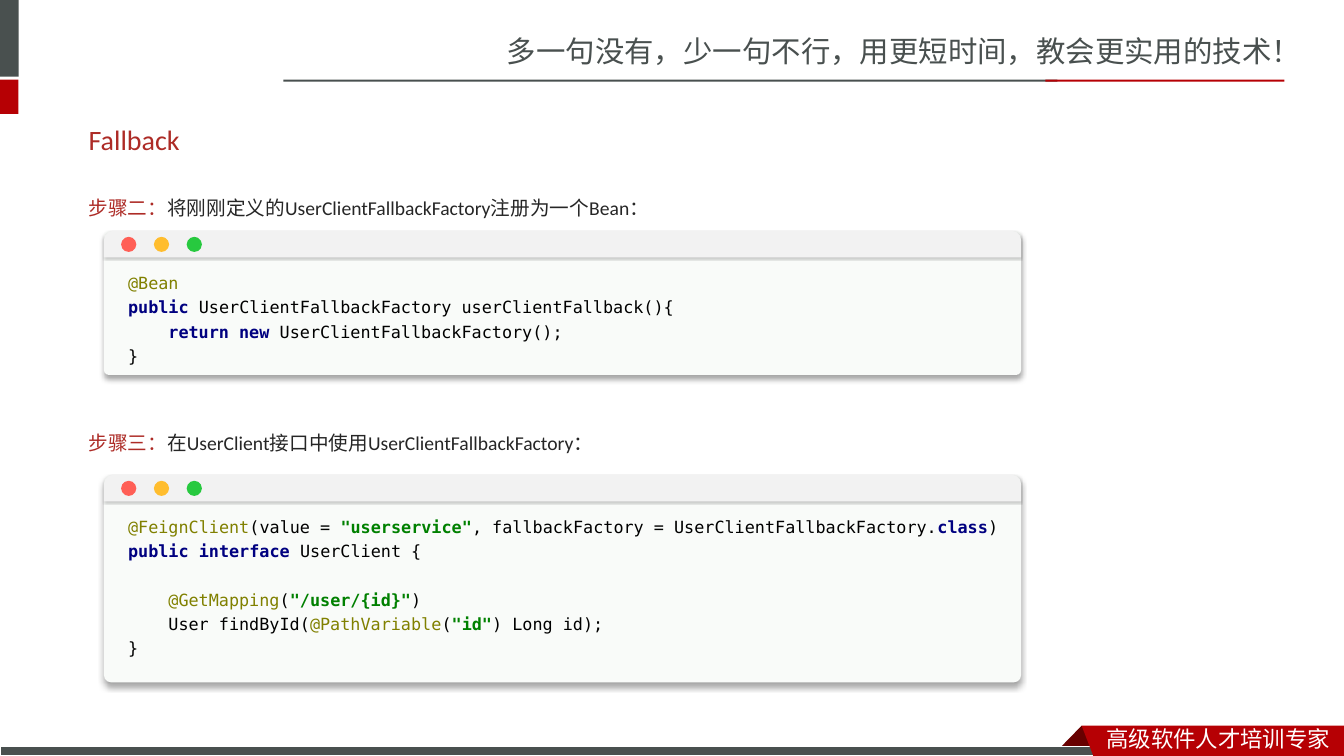
from dataclasses import dataclass

from lxml import etree
from pptx import Presentation
from pptx.dml.color import RGBColor
from pptx.enum.shapes import MSO_SHAPE
from pptx.enum.text import MSO_ANCHOR
from pptx.oxml.ns import qn
from pptx.util import Inches, Pt

RECTANGLE = MSO_SHAPE.RECTANGLE
ROUNDED = MSO_SHAPE.ROUNDED_RECTANGLE
ROUNDED_TOP = MSO_SHAPE.ROUND_2_SAME_RECTANGLE
OVAL = MSO_SHAPE.OVAL
TOP = MSO_ANCHOR.TOP
MIDDLE = MSO_ANCHOR.MIDDLE


@dataclass(frozen=True)
class Theme:
    gray: str = "49504F"
    red: str = "B60004"
    dark_red: str = "680000"
    accent: str = "AD2B26"
    body: str = "262626"
    white: str = "FFFFFF"
    panel: str = "F9FBF9"
    panel_bar: str = "F2F2F2"
    buttons: tuple = ("FF5F56", "FFBD2E", "27C93F")
    plain: str = "000000"
    keyword: str = "000080"
    annotation: str = "808000"
    string: str = "008000"
    latin: str = "Calibri"
    mono: str = "DejaVu Sans Mono"
    chinese: str = "Noto Sans CJK SC"
    east_asian: str = "Noto Sans CJK JP"
    slogan_size: int = 21
    title_size: int = 20
    banner_size: int = 16
    step_size: int = 14
    code_size: int = 12
    columns: int = 100
    rows: int = 100


def write(paragraph, text, *, size, color, font, east_font=None, bold=False):
    run = paragraph.add_run()
    run.text = text
    run.font.size = Pt(size)
    run.font.bold = bold
    run.font.color.rgb = RGBColor.from_string(color)
    run.font.name = font
    properties = run._r.get_or_add_rPr()
    etree.SubElement(properties, qn("a:ea"), typeface=east_font or font)


class SlideBuilder:
    def __init__(self, presentation, theme):
        self.theme = theme
        self.column = presentation.slide_width / theme.columns
        self.row = presentation.slide_height / theme.rows
        self.slide = presentation.slides.add_slide(presentation.slide_layouts[6])

    def place(self, left, top, width, height):
        return (round(left * self.column), round(top * self.row),
                round(width * self.column), round(height * self.row))

    def paint(self, shape, fill, line=None):
        shape.shadow.inherit = False
        shape.fill.solid()
        shape.fill.fore_color.rgb = RGBColor.from_string(fill)
        if line:
            shape.line.color.rgb = RGBColor.from_string(line)
            shape.line.width = Pt(0.75)
        else:
            shape.line.fill.background()

    def block(self, kind, area, fill, line=None, corner=None):
        shape = self.slide.shapes.add_shape(kind, *self.place(*area))
        self.paint(shape, fill, line)
        if corner is not None:
            shape.adjustments[0] = corner
        return shape

    def outline(self, points, fill):
        corners = [(x * self.column, y * self.row) for x, y in points]
        builder = self.slide.shapes.build_freeform(*corners[0])
        builder.add_line_segments(corners[1:], close=True)
        self.paint(builder.convert_to_shape(), fill)

    def shadow(self, shape, blur, distance, opacity):
        effects = shape._element.spPr.find(qn("a:effectLst"))
        outer = etree.SubElement(effects, qn("a:outerShdw"), blurRad=str(Pt(blur)),
                                 dist=str(Pt(distance)), dir="5400000", rotWithShape="0")
        color = etree.SubElement(outer, qn("a:srgbClr"), val=self.theme.plain)
        etree.SubElement(color, qn("a:alpha"), val=str(opacity * 1000))

    def frame(self, area, anchor=TOP, inset=0.1):
        text_frame = self.slide.shapes.add_textbox(*self.place(*area)).text_frame
        text_frame.word_wrap = True
        text_frame.vertical_anchor = anchor
        text_frame.margin_left = text_frame.margin_right = Inches(inset)
        return text_frame

    def label(self, area, text, anchor=TOP, **style):
        write(self.frame(area, anchor).paragraphs[0], text, **style)

    def step(self, top, heading, text):
        paragraph = self.frame((5.85, top, 87.75, 5.6)).paragraphs[0]
        paragraph.line_spacing = 1.5
        for part, color in ((heading, self.theme.accent), (text, self.theme.body)):
            write(paragraph, part, size=self.theme.step_size, color=color,
                  font=self.theme.latin, east_font=self.theme.east_asian)

    def code_window(self, top, height, lines):
        theme = self.theme
        left, width = 7.73, 68.25
        panel = self.block(ROUNDED, (left, top, width, height), theme.panel, corner=0.036)
        self.shadow(panel, 4, 3, 34)
        self.code((left, top + 4.4, 73.35, height - 5), lines)
        bar = self.block(ROUNDED_TOP, (left, top, width, 3.53), theme.panel_bar, corner=0.36)
        self.shadow(bar, 1, 1, 20)
        for index, color in enumerate(theme.buttons):
            self.block(OVAL, (left + 1.28 + index * 2.44, top + 0.8, 1.13, 2), color)

    def code(self, area, lines):
        theme = self.theme
        text_frame = self.frame(area, inset=0.24)
        for index, (indent, gap, parts) in enumerate(lines):
            paragraph = text_frame.add_paragraph() if index else text_frame.paragraphs[0]
            paragraph.line_spacing = 1.2
            paragraph.space_before = Pt(gap * 17.3)
            paragraph._p.get_or_add_pPr().set("marL", str(Inches(indent * 0.4)))
            for text, color in parts:
                write(paragraph, text, size=theme.code_size, color=color, font=theme.mono,
                      bold=color in (theme.keyword, theme.string))


def add_frame(builder, theme):
    builder.label((36.98, 3.73, 63.02, 6.27), "多一句没有，少一句不行，用更短时间，教会更实用的技术！",
                  size=theme.slogan_size, color=theme.gray, font=theme.chinese)
    for area, color in (
        ((0, 0, 1.4, 10.13), theme.gray),
        ((0, 10.53, 1.37, 4.53), theme.red),
        ((21.08, 10.53, 57.6, 0.27), theme.gray),
        ((77.78, 10.53, 17.78, 0.27), theme.red),
    ):
        builder.block(RECTANGLE, area, color)
    builder.outline([(80.48, 96), (82.13, 99), (78.83, 99)], theme.dark_red)
    builder.block(RECTANGLE, (0, 98.8, 82.5, 1.2), theme.gray, line=theme.white)
    builder.outline([(80.48, 96), (100, 96), (100, 100), (81.35, 100)], theme.red)
    builder.label((81.6, 95.33, 18.4, 4.67), "高级软件人才培训专家",
                  size=theme.banner_size, color=theme.white, font=theme.chinese)


def add_content(builder, theme):
    plain, keyword = theme.plain, theme.keyword
    annotation, string = theme.annotation, theme.string
    builder.label((5.85, 14.67, 87.75, 7.6), "Fallback", anchor=MIDDLE,
                  size=theme.title_size, color=theme.accent, font=theme.latin)
    builder.step(23.73, "步骤二：", "将刚刚定义的UserClientFallbackFactory注册为一个Bean：")
    builder.step(54.8, "步骤三：", "在UserClient接口中使用UserClientFallbackFactory：")
    builder.code_window(30.53, 19.07, [
        (0, 0, [("@Bean", annotation)]),
        (0, 0, [("public ", keyword),
                ("UserClientFallbackFactory userClientFallback(){", plain)]),
        (1, 0, [("return new ", keyword), ("UserClientFallbackFactory();", plain)]),
        (0, 0, [("}", plain)]),
    ])
    builder.code_window(62.8, 27.47, [
        (0, 0, [("@FeignClient", annotation), ("(value = ", plain),
                ('"userservice"', string),
                (", fallbackFactory = UserClientFallbackFactory.", plain),
                ("class", keyword), (")", plain)]),
        (0, 0, [("public interface ", keyword), ("UserClient {", plain)]),
        (1, 1, [("@GetMapping", annotation), ("(", plain),
                ('"/user/{id}"', string), (")", plain)]),
        (1, 0, [("User findById(", plain), ("@PathVariable", annotation), ("(", plain),
                ('"id"', string), (") Long id);", plain)]),
        (0, 0, [("}", plain)]),
    ])


def main():
    presentation = Presentation()
    presentation.slide_width = Inches(13.33)
    presentation.slide_height = Inches(7.5)
    theme = Theme()
    builder = SlideBuilder(presentation, theme)
    add_frame(builder, theme)
    add_content(builder, theme)
    presentation.save("out.pptx")


if __name__ == "__main__":
    main()
